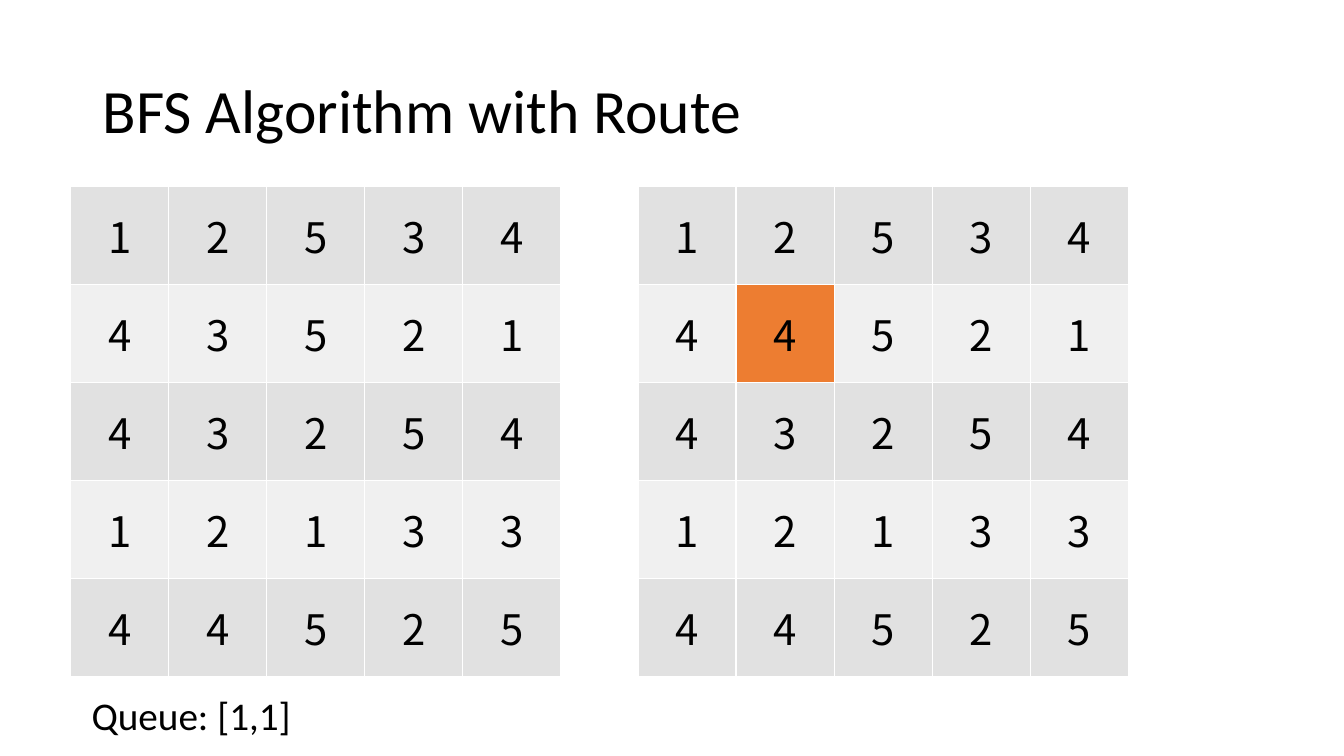
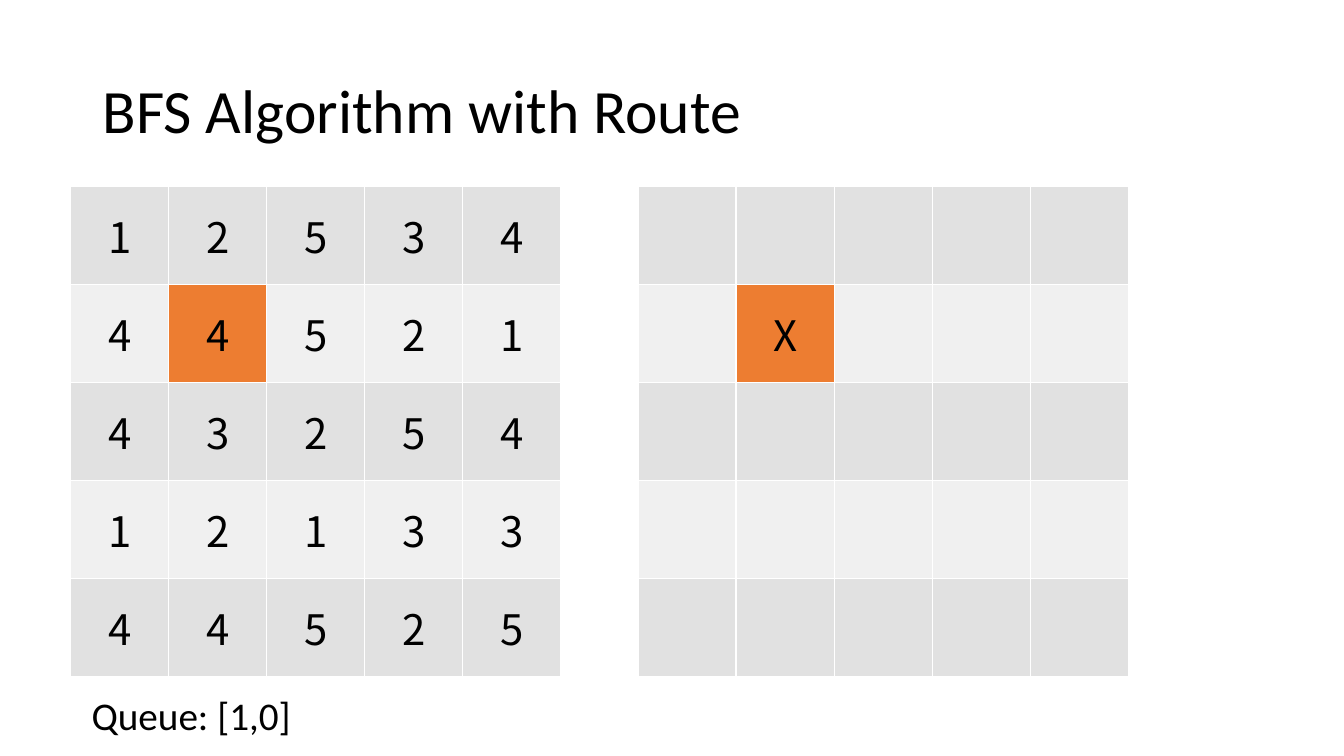
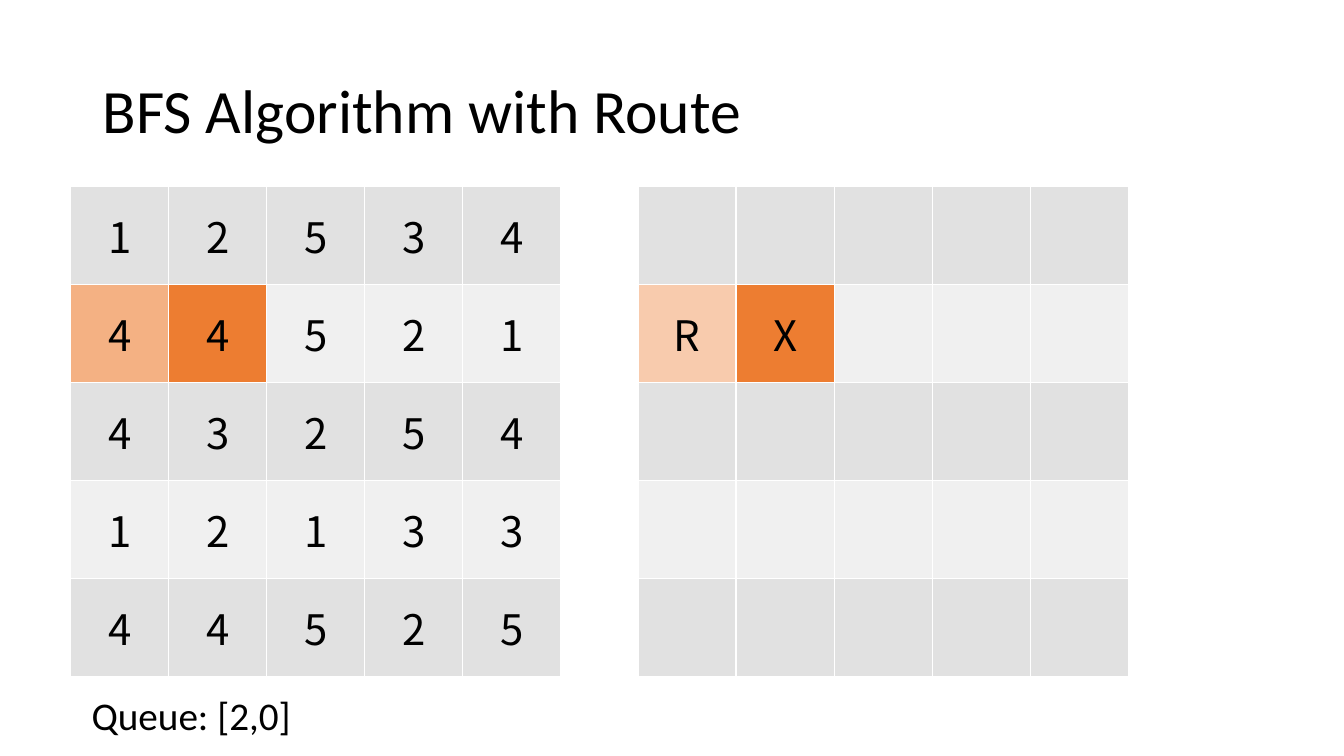
from lxml import etree
from pptx import Presentation
from pptx import util as u
from pptx.dml.color import RGBColor
from pptx.enum import text
from pptx.oxml import ns

BLACK = RGBColor(0x00, 0x00, 0x00)
WHITE = RGBColor(0xFF, 0xFF, 0xFF)
DARK_BAND = RGBColor(0xE1, 0xE1, 0xE1)
LIGHT_BAND = RGBColor(0xF0, 0xF0, 0xF0)
START = RGBColor(0xED, 0x7D, 0x31)
VISITED = RGBColor(0xF4, 0xB1, 0x83)
ROUTE = RGBColor(0xF8, 0xCB, 0xAD)

INITIAL = ["12534", "43521", "43254", "12133", "44525"]
CHANGED = ["12534", "44521", "43254", "12133", "44525"]
UNVISITED = [" " * 5] * 5
FROM_START = [" " * 5, " X   "] + [" " * 5] * 3
FROM_LEFT = [" " * 5, "RX   "] + [" " * 5] * 3
CENTER, LEFT_OF_CENTER = (1, 1), (1, 0)


def write(frame, words, size, font="Calibri", color=BLACK, align=text.PP_ALIGN.LEFT,
          anchor=text.MSO_ANCHOR.TOP, wrap=True, fit=text.MSO_AUTO_SIZE.NONE, spacing=None):
    """Put one formatted paragraph into a text frame."""
    frame.word_wrap = wrap
    frame.auto_size = fit
    frame.vertical_anchor = anchor
    paragraph = frame.paragraphs[0]
    paragraph.alignment = align
    paragraph.line_spacing = spacing
    run = paragraph.add_run()
    run.text = words
    run.font.size = u.Pt(size)
    run.font.name = font
    run.font.color.rgb = color


class Deck:
    """Shared style and the slide being built."""

    CELL = u.Cm(2.47)
    GRID_TOP = u.Cm(4.7)
    GRID_LEFTS = (u.Cm(1.78), u.Cm(16.08))

    def __init__(self):
        """Open an empty widescreen deck."""
        self.deck = Presentation()
        self.deck.slide_width, self.deck.slide_height = u.Cm(33.87), u.Cm(19.05)
        self.slide = None

    def start(self, heading):
        """Add a slide with its title."""
        self.slide = self.deck.slides.add_slide(self.deck.slide_layouts[5])
        title = self.slide.shapes.title
        title.left, title.top = u.Cm(2.34), u.Cm(1.02)
        title.width, title.height = u.Cm(29.21), u.Cm(3.68)
        write(title.text_frame, heading, 44, anchor=text.MSO_ANCHOR.MIDDLE, spacing=0.9)

    def border(self, cell):
        """Draw thin white lines around a cell."""
        properties = cell._tc.get_or_add_tcPr()
        for side in ("a:lnL", "a:lnR", "a:lnT", "a:lnB"):
            line = etree.SubElement(properties, ns.qn(side), w=str(u.Pt(1)))
            fill = etree.SubElement(line, ns.qn("a:solidFill"))
            etree.SubElement(fill, ns.qn("a:srgbClr"), val=str(WHITE))

    def grid(self, left, rows, marks):
        """Add a banded grid of square cells with marked positions."""
        side = self.CELL * len(rows)
        table = self.slide.shapes.add_table(
            len(rows), len(rows[0]), left, self.GRID_TOP, side, side).table
        table.first_row = table.horz_banding = False
        for column in table.columns:
            column.width = self.CELL
        for r, values in enumerate(rows):
            table.rows[r].height = self.CELL
            band = LIGHT_BAND if r % 2 else DARK_BAND
            for c, value in enumerate(values):
                cell = table.cell(r, c)
                self.border(cell)
                cell.fill.solid()
                cell.fill.fore_color.rgb = marks.get((r, c), band)
                cell.vertical_anchor = text.MSO_ANCHOR.MIDDLE
                if value.strip():
                    write(cell.text_frame, value, 30, font="Noto Sans CJK JP",
                          align=text.PP_ALIGN.CENTER, anchor=None, wrap=None, fit=None)

    def queue(self, words):
        """Add the queue line below the grids."""
        box = self.slide.shapes.add_textbox(u.Cm(2.06), u.Cm(17.3), u.Cm(5.59), u.Cm(1.45))
        write(box.text_frame, words, 28, wrap=False, fit=text.MSO_AUTO_SIZE.SHAPE_TO_FIT_TEXT)

    def step(self, position, *grids):
        """Add one slide of the search."""
        self.start("BFS Algorithm with Route")
        for left, (rows, marks) in zip(self.GRID_LEFTS, grids):
            self.grid(left, rows, marks)
        self.queue(f"Queue: [{position}]")


def main():
    """Build and save the search steps."""
    deck = Deck()
    start = {CENTER: START}
    deck.step("1,1", (INITIAL, {}), (CHANGED, start))
    deck.step("1,0", (CHANGED, start), (FROM_START, start))
    deck.step("2,0", (CHANGED, {**start, LEFT_OF_CENTER: VISITED}),
              (FROM_LEFT, {**start, LEFT_OF_CENTER: ROUTE}))
    deck.deck.save("out.pptx")


if __name__ == "__main__":
    main()
